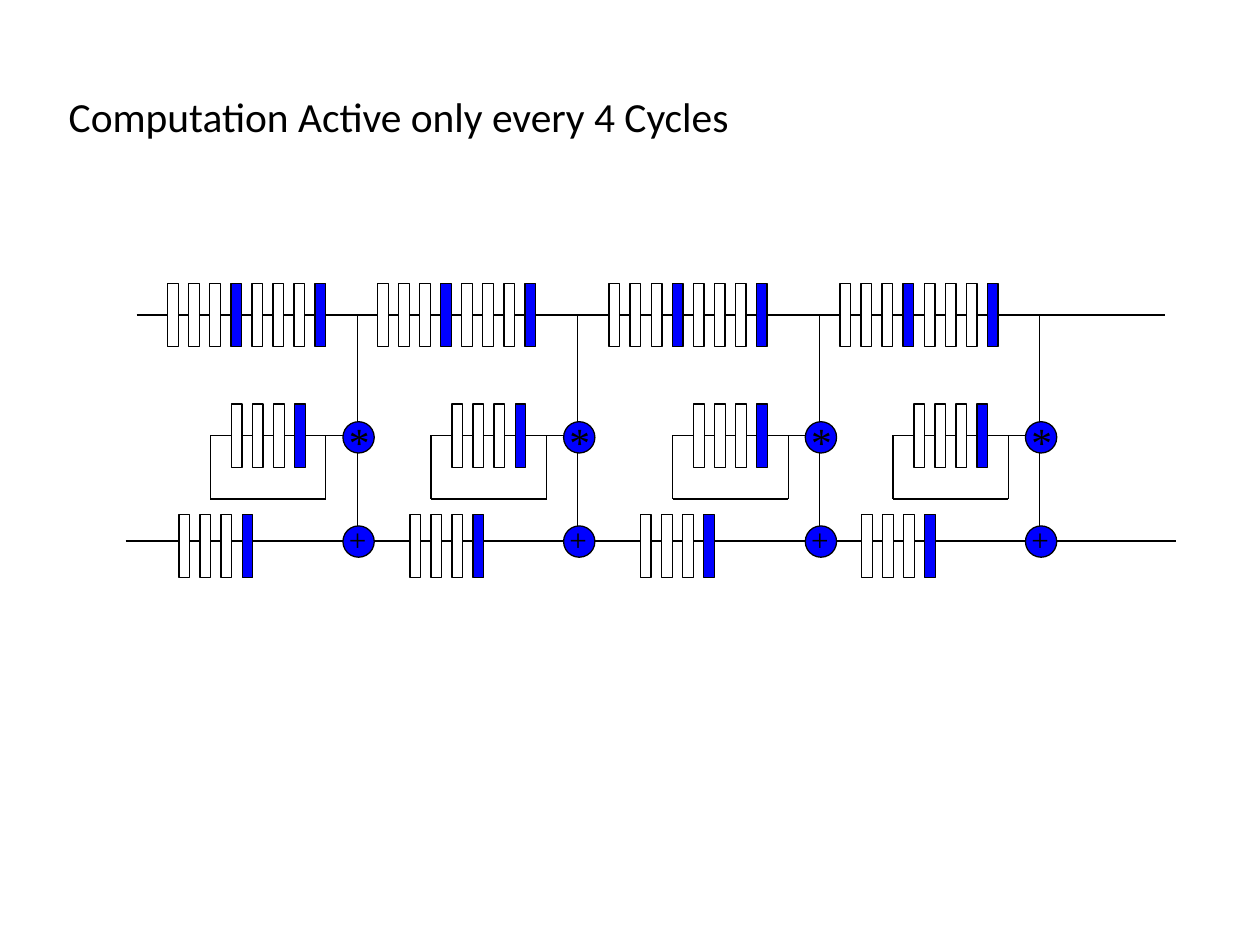
import pptx
import pptx.dml.color
import pptx.enum.shapes
import pptx.enum.text
import pptx.oxml
import pptx.util
from pptx.util import Cm

BLACK = pptx.dml.color.RGBColor(0x00, 0x00, 0x00)
WHITE = pptx.dml.color.RGBColor(0xFF, 0xFF, 0xFF)
BLUE = pptx.dml.color.RGBColor(0x00, 0x00, 0xFF)
LINE_WIDTH = pptx.util.Pt(0.75)

TITLE_ONLY = 5
ACTIVE_EVERY = 4
BAR_WIDTH, BAR_HEIGHT, BAR_PITCH = Cm(0.22), Cm(1.29), Cm(0.43)
NODE_SIZE, NODE_SHIFT = Cm(0.64), Cm(0.03)

# Offsets from the left edge of the filter: delay line, sum register, operator column
STAGES = [
    (0.86, 1.09, 4.73),
    (5.15, 5.81, 9.24),
    (9.88, 10.52, 14.18),
    (14.6, 15.04, 18.68),
]


def add_title(slide, text, left, top, width, height):
    title = slide.shapes.title
    title.left, title.top, title.width, title.height = left, top, width, height
    frame = title.text_frame
    frame.text = text
    frame.auto_size = pptx.enum.text.MSO_AUTO_SIZE.NONE
    frame.vertical_anchor = pptx.enum.text.MSO_ANCHOR.BOTTOM
    para = frame.paragraphs[0]
    para.alignment = pptx.enum.text.PP_ALIGN.LEFT
    para.font.name = "Calibri"
    para.font.size = pptx.util.Pt(24)
    para.font.color.rgb = BLACK


def add_wire(slide, *points):
    """Join consecutive points with straight lines."""
    for start, end in zip(points, points[1:]):
        wire = slide.shapes.add_connector(
            pptx.enum.shapes.MSO_CONNECTOR.STRAIGHT, *start, *end)
        wire.line.color.rgb = BLACK
        wire.line.width = LINE_WIDTH
        properties = wire._element.spPr
        properties.append(pptx.oxml.parse_xml(
            '<a:effectLst xmlns:a="http://schemas.openxmlformats.org/drawingml/2006/main"/>'))


def add_outlined(slide, kind, fill, left, top, width, height):
    shape = slide.shapes.add_shape(kind, left, top, width, height)
    shape.shadow.inherit = False
    shape.fill.solid()
    shape.fill.fore_color.rgb = fill
    shape.line.color.rgb = BLACK
    shape.line.width = LINE_WIDTH


def add_registers(slide, left, top, count):
    """Draw a row of registers in which every fourth one is active."""
    for number in range(count):
        active = (number + 1) % ACTIVE_EVERY == 0
        add_outlined(slide, pptx.enum.shapes.MSO_SHAPE.RECTANGLE,
                     BLUE if active else WHITE,
                     left + number * BAR_PITCH, top, BAR_WIDTH, BAR_HEIGHT)


def add_operator(slide, symbol, size, column, node_top, text_top, text_height):
    add_outlined(slide, pptx.enum.shapes.MSO_SHAPE.OVAL, BLUE,
                 column + NODE_SHIFT - NODE_SIZE // 2, node_top, NODE_SIZE, NODE_SIZE)
    box = slide.shapes.add_textbox(column - Cm(0.42), text_top, Cm(1.73), text_height)
    frame = box.text_frame
    frame.word_wrap = True
    frame.auto_size = pptx.enum.text.MSO_AUTO_SIZE.SHAPE_TO_FIT_TEXT
    frame.text = symbol
    font = frame.paragraphs[0].font
    font.name = "Times New Roman"
    font.size = pptx.util.Pt(size)
    font.color.rgb = BLACK


def add_stage(slide, top, delay_left, sum_left, column):
    """Draw one filter tap: delay line, coefficient loop, multiplier and adder."""
    loop_y, loop_bottom = top + Cm(3.1), top + Cm(4.4)
    loop_left, loop_right = column - Cm(3), column - Cm(0.64)
    multiplier_top, adder_top = top + Cm(2.82), top + Cm(4.95)

    add_wire(slide, (column, top + Cm(0.64)), (column, multiplier_top))
    add_wire(slide, (column, multiplier_top + NODE_SIZE), (column, adder_top))
    add_wire(slide, (column - Cm(0.2), loop_y), (loop_left, loop_y),
             (loop_left, loop_bottom), (loop_right, loop_bottom), (loop_right, loop_y))

    add_registers(slide, delay_left, top, 2 * ACTIVE_EVERY)
    add_registers(slide, column - Cm(2.57), top + Cm(2.46), ACTIVE_EVERY)
    add_registers(slide, sum_left, top + Cm(4.72), ACTIVE_EVERY)
    add_operator(slide, "*", 24, column, multiplier_top, top + Cm(2.57), Cm(1.27))
    add_operator(slide, "+", 18, column, adder_top, top + Cm(4.72), Cm(1.02))


def add_filter(slide, left, top, width):
    input_y, sum_y = top + Cm(0.64), top + Cm(5.26)
    add_wire(slide, (left + Cm(0.22), input_y), (left + width - Cm(0.22), input_y))
    add_wire(slide, (left, sum_y), (left + width, sum_y))
    for offsets in STAGES:
        add_stage(slide, top, *(left + Cm(offset) for offset in offsets))


def main():
    deck = pptx.Presentation()
    deck.slide_width, deck.slide_height = pptx.util.Pt(730), pptx.util.Pt(547.5)
    slide = deck.slides.add_slide(deck.slide_layouts[TITLE_ONLY])
    add_title(slide, "Computation Active only every 4 Cycles",
              Cm(1.15), Cm(0.64), Cm(21.89), Cm(2.36))
    add_filter(slide, Cm(2.57), Cm(5.8), Cm(21.47))
    deck.save("out.pptx")


if __name__ == "__main__":
    main()
